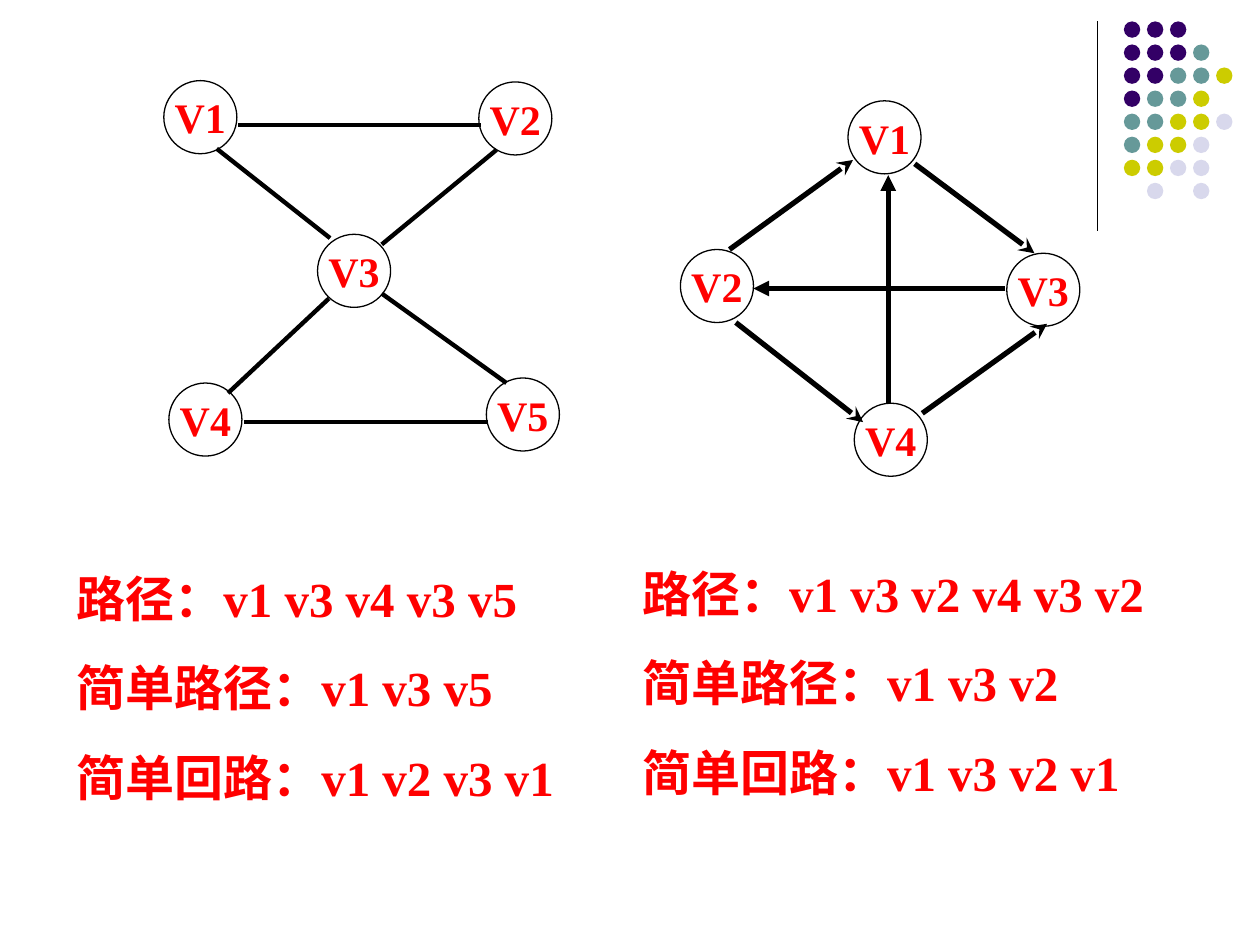
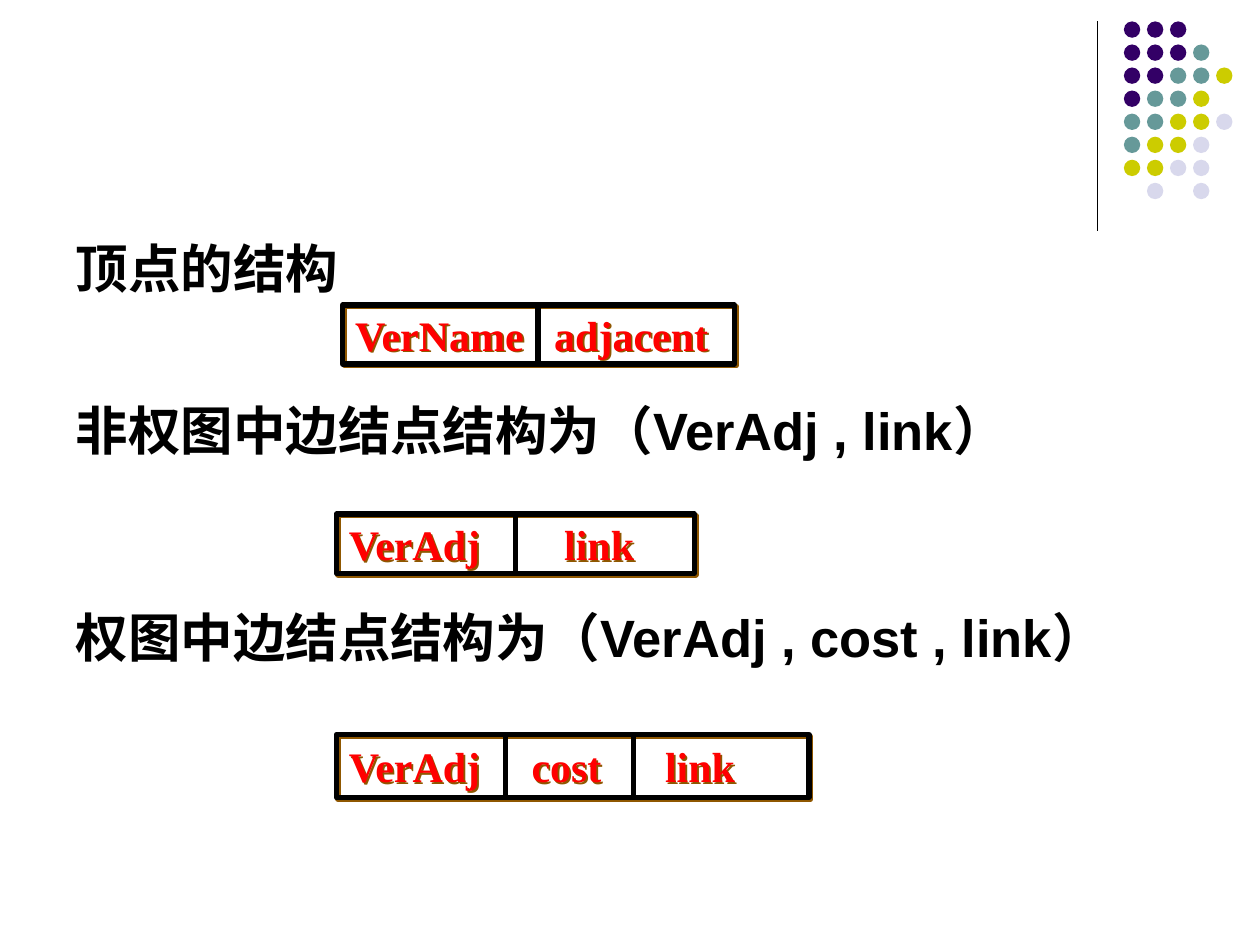
from dataclasses import dataclass

from lxml import etree
from pptx import Presentation
from pptx import util as u
from pptx.dml.color import RGBColor
from pptx.enum import shapes, text
from pptx.oxml.ns import qn


@dataclass(frozen=True)
class Theme:
    """Colours, fonts, type sizes and line widths."""
    ink: str = "000000"
    accent: str = "FF0000"
    shadow: str = "8F5700"
    dots: tuple = (("P", "330066"), ("T", "669999"), ("Y", "CCCC00"), ("L", "D8D8EC"))
    serif: str = "Times New Roman"
    sans: str = "Arial"
    label: int = 24
    note: int = 28
    body: int = 30
    hair: float = 0.75
    edge: float = 2.5
    heavy: float = 3


class Deck:
    """Draws styled elements on the current slide, on a grid of 10 columns by 7.5 rows."""
    COLS, ROWS = 10, 7.5
    NODE = 0.58

    def __init__(self, theme):
        self.t = theme
        self.prs = Presentation()
        self.prs.slide_width, self.prs.slide_height = u.Inches(10), u.Inches(7.5)
        self.s = None

    def slide(self, layout):
        self.s = self.prs.slides.add_slide(self.prs.slide_layouts[layout])

    def x(self, cols):
        return int(self.prs.slide_width * cols / self.COLS)

    def y(self, rows):
        return int(self.prs.slide_height * rows / self.ROWS)

    def box(self, left, top, width, height):
        return self.x(left), self.y(top), self.x(width), self.y(height)

    def run(self, p, words, size, font, color):
        r = p.add_run()
        r.text = words
        r.font.size, r.font.name, r.font.bold = u.Pt(size), font, True
        r.font.color.rgb = RGBColor.from_string(color)

    def shape(self, kind, box, fill=None, width=None):
        sp = self.s.shapes.add_shape(kind, *self.box(*box))
        sp.shadow.inherit = False
        if fill:
            sp.fill.solid()
            sp.fill.fore_color.rgb = RGBColor.from_string(fill)
        else:
            sp.fill.background()
        if width:
            sp.line.width = u.Pt(width)
            sp.line.color.rgb = RGBColor.from_string(self.t.ink)
        else:
            sp.line.fill.background()
        return sp

    def line(self, x1, y1, x2, y2, width, arrow=None):
        cx = self.s.shapes.add_connector(
            shapes.MSO_CONNECTOR.STRAIGHT, self.x(x1), self.y(y1), self.x(x2), self.y(y2))
        cx.line.width = u.Pt(width)
        cx.line.color.rgb = RGBColor.from_string(self.t.ink)
        props = cx.element.spPr
        if arrow:
            etree.SubElement(props.find(qn("a:ln")), qn("a:tailEnd"), type=arrow)
        etree.SubElement(props, qn("a:effectLst"))

    def node(self, name, left, top):
        sp = self.shape(shapes.MSO_SHAPE.FLOWCHART_CONNECTOR,
                        (left, top, self.NODE, self.NODE), width=self.t.hair)
        tf = sp.text_frame
        tf.word_wrap = False
        p = tf.paragraphs[0]
        p.alignment = text.PP_ALIGN.CENTER
        self.run(p, name, self.t.label, self.t.serif, self.t.accent)

    def paragraphs(self, tf, lines, gaps, size, font, color):
        for i, words in enumerate(lines):
            p = tf.add_paragraph() if i else tf.paragraphs[0]
            p.space_before = u.Pt(gaps[i])
            self.run(p, words, size, font, color)

    def notes(self, left, top, width, lines):
        sp = self.s.shapes.add_textbox(*self.box(left, top, width, 1.99))
        sp.text_frame.word_wrap = True
        self.paragraphs(sp.text_frame, lines, (0, 17.5, 17.5),
                        self.t.note, self.t.serif, self.t.accent)

    def body(self, lines, gaps):
        title, sp = self.s.placeholders
        title.element.getparent().remove(title.element)
        sp.left, sp.top, sp.width, sp.height = self.box(0.5, 1.88, 9, 4.82)
        tf = sp.text_frame
        tf.auto_size = text.MSO_AUTO_SIZE.NONE
        self.paragraphs(tf, lines, gaps, self.t.body, self.t.sans, self.t.ink)
        for p in tf.paragraphs:
            p.line_spacing = 0.9
            props = p._p.get_or_add_pPr()
            props.set("marL", "0")
            props.set("indent", "0")
            etree.SubElement(props, qn("a:buNone"))

    def record(self, box, fields, dividers, tabs):
        left, top, _, height = box
        sp = self.shape(shapes.MSO_SHAPE.RECTANGLE, box, width=self.t.heavy)
        shadow = etree.SubElement(sp.element.spPr.find(qn("a:effectLst")), qn("a:outerShdw"),
                                  dist=str(u.Pt(1.4)), dir="2700000", algn="ctr", rotWithShape="0")
        etree.SubElement(shadow, qn("a:srgbClr"), val=self.t.shadow)
        tf = sp.text_frame
        tf.word_wrap = True
        p = tf.paragraphs[0]
        p.alignment = text.PP_ALIGN.LEFT
        stops = etree.SubElement(p._p.get_or_add_pPr(), qn("a:tabLst"))
        for tab in tabs:
            etree.SubElement(stops, qn("a:tab"), pos=str(self.x(tab)), algn="l")
        self.run(p, "\t".join(fields), self.t.label, self.t.serif, self.t.accent)
        for d in dividers:
            self.line(left + d, top, left + d, top + height, self.t.heavy)

    def master_band(self):
        self.line(8.71, 0.17, 8.71, 1.83, self.t.hair)
        colors, pitch = dict(self.t.dots), 0.183
        pattern = ("PPP", "PPPT", "PPTTY", "PTTY", "TTYYL", "TYYL", "YYLL", " L L")
        for row, marks in enumerate(pattern):
            for col, mark in enumerate(marks):
                if mark in colors:
                    self.shape(shapes.MSO_SHAPE.OVAL,
                               (8.92 + col * pitch, 0.17 + row * pitch, 0.13, 0.13), colors[mark])
        tree = self.prs.slide_master.shapes.element
        for i, sp in enumerate(list(self.s.shapes)):
            sp.element.xpath(".//p:cNvPr")[0].set("id", str(100 + i))
            tree.append(sp.element)


def graphs(d):
    t = d.t
    d.slide(6)
    d.master_band()
    undirected = (("V1", 1.3, 0.64), ("V2", 3.8, 0.65), ("V3", 2.52, 1.86),
                  ("V4", 1.34, 3.04), ("V5", 3.86, 3))
    directed = (("V1", 6.73, 0.8), ("V2", 5.4, 1.98), ("V3", 7.99, 2.01), ("V4", 6.78, 3.2))
    for node in undirected + directed:
        d.node(*node)
    for edge in ((1.89, 0.99, 3.82, 0.99), (1.94, 3.35, 3.87, 3.35), (1.81, 3.12, 2.61, 2.37),
                 (3.03, 2.33, 4.02, 3.04), (1.72, 1.18, 2.62, 1.89), (3.03, 1.94, 3.94, 1.19)):
        d.line(*edge, t.edge)
    for arc in ((7.05, 3.2, 7.05, 1.39), (7.98, 2.29, 5.98, 2.29)):
        d.line(*arc, t.heavy, "triangle")
    for arc in ((7.26, 1.3, 8.21, 2.01), (5.84, 2.56, 6.85, 3.35),
                (5.79, 1.98, 6.77, 1.27), (7.32, 3.28, 8.31, 2.57)):
        d.line(*arc, t.heavy, "stealth")
    d.notes(0.51, 4.46, 4.29, ("路径：v1 v3 v4 v3 v5", "简单路径：v1 v3 v5", "简单回路：v1 v2 v3 v1"))
    d.notes(5, 4.42, 4.41, ("路径：v1 v3 v2 v4 v3 v2", "简单路径：v1 v3 v2", "简单回路：v1 v3 v2 v1"))


def structures(d):
    d.slide(1)
    d.body(("顶点的结构", "非权图中边结点结构为（VerAdj , link）", "权图中边结点结构为（VerAdj , cost , link）"),
           (0, 60, 86))
    d.record((2.72, 2.42, 3.11, 0.47), ("VerName", "adjacent"), (1.55,), (1.58,))
    d.record((2.67, 4.08, 2.84, 0.47), ("VerAdj", "link"), (1.42,), (1.71,))
    d.record((2.67, 5.83, 3.75, 0.5), ("VerAdj", "cost", "link"), (1.34, 2.36), (1.45, 2.51))


def main():
    d = Deck(Theme())
    graphs(d)
    structures(d)
    d.prs.save("out.pptx")


if __name__ == "__main__":
    main()
